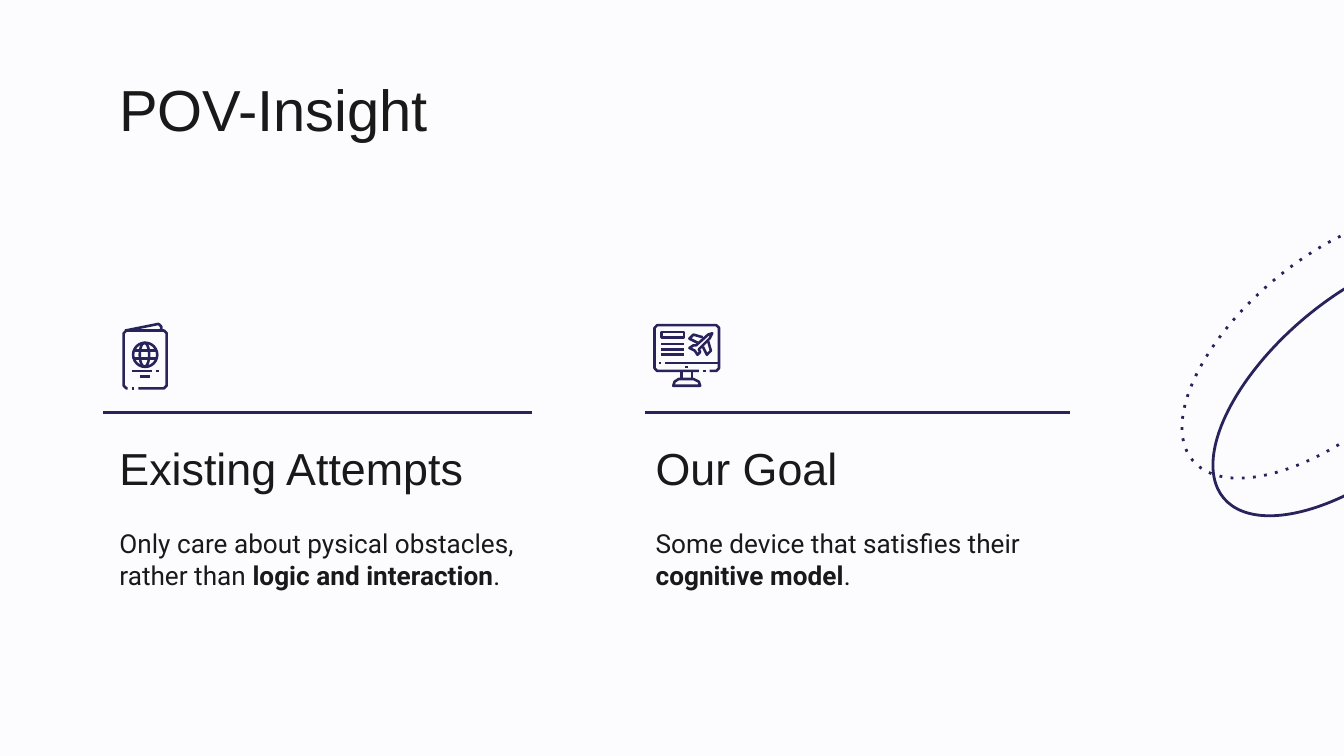
from dataclasses import dataclass

from lxml import etree
from pptx import Presentation
from pptx.dml.color import RGBColor
from pptx.enum import dml, shapes, text
from pptx.oxml import ns
from pptx.util import Inches, Pt


@dataclass(frozen=True)
class Theme:
    background: str = "FCFCFF"
    ink: str = "191919"
    accent: str = "29235C"
    heading_font: str = "Arial"
    body_font: str = "Roboto"
    title_size: float = 31
    heading_size: float = 24
    body_size: float = 14
    rule_width: float = 1.5
    icon_width: float = 1.4


class SlideBuilder:
    def __init__(self, slide, theme):
        self.slide = slide
        self.theme = theme
        fill = slide.background.fill
        fill.solid()
        fill.fore_color.rgb = RGBColor.from_string(theme.background)

    def _outline(self, shape, width):
        shape.shadow.inherit = False
        shape.fill.background()
        shape.line.color.rgb = RGBColor.from_string(self.theme.accent)
        shape.line.width = Pt(width)

    def text(self, box, runs, size, font):
        """Each run is a (wording, bold) pair."""
        frame = self.slide.shapes.add_textbox(*map(Inches, box)).text_frame
        frame.word_wrap = True
        frame.vertical_anchor = text.MSO_ANCHOR.MIDDLE
        frame.margin_left = frame.margin_right = Inches(0.1)
        frame.margin_top = frame.margin_bottom = Inches(0.1)
        for wording, bold in runs:
            run = frame.paragraphs[0].add_run()
            run.text = wording
            run.font.name = font
            run.font.size = Pt(size)
            run.font.bold = bold
            run.font.color.rgb = RGBColor.from_string(self.theme.ink)

    def line(self, x1, y1, x2, y2, width):
        rule = self.slide.shapes.add_connector(
            shapes.MSO_CONNECTOR.STRAIGHT, *map(Inches, (x1, y1, x2, y2)))
        rule.line.color.rgb = RGBColor.from_string(self.theme.accent)
        rule.line.width = Pt(width)
        etree.SubElement(rule._element.spPr, ns.qn("a:effectLst"))

    def ellipse(self, box, width, rotation=0, dotted=False):
        oval = self.slide.shapes.add_shape(
            shapes.MSO_SHAPE.OVAL, *map(Inches, box))
        self._outline(oval, width)
        oval.rotation = rotation
        if dotted:
            oval.line.dash_style = dml.MSO_LINE.ROUND_DOT
            oval._element.xpath(".//a:prstDash")[0].set("val", "dot")

    def outline(self, points, closed=False):
        start, *others = [(Inches(x), Inches(y)) for x, y in points]
        builder = self.slide.shapes.build_freeform(*start)
        builder.add_line_segments(others, close=closed)
        self._outline(builder.convert_to_shape(), self.theme.icon_width)

    def strokes(self, segments):
        for x1, x2, y in segments:
            self.line(x1, y, x2, y, self.theme.icon_width)

    def dots(self, centres):
        self.strokes((x - 0.01, x + 0.01, y) for x, y in centres)


def draw_passport(page):
    # Cover with a gap in its lower edge, and the page behind it
    page.outline([(0.95, 2.89), (0.94, 2.89), (0.92, 2.87), (0.92, 2.48),
                  (0.94, 2.46), (1.22, 2.46), (1.24, 2.48), (1.24, 2.87),
                  (1.22, 2.89), (1.03, 2.89)])
    page.outline([(0.93, 2.46), (1.18, 2.41), (1.2, 2.43), (1.2, 2.46)])
    # Globe
    page.ellipse((0.99, 2.55, 0.18, 0.18), page.theme.icon_width)
    page.ellipse((1.04, 2.55, 0.07, 0.18), page.theme.icon_width)
    page.strokes([(1, 1.16, 2.61), (1, 1.16, 2.67)])
    # Printed lines
    page.strokes([(0.98, 1.13, 2.76), (1.04, 1.12, 2.8)])
    page.dots([(1.17, 2.76), (0.99, 2.89)])


def draw_monitor(page):
    # Screen with a gap in its lower edge
    page.outline([(5.2, 2.76), (4.89, 2.76), (4.87, 2.74), (4.87, 2.44),
                  (4.89, 2.42), (5.33, 2.42), (5.35, 2.44), (5.35, 2.74),
                  (5.33, 2.76), (5.28, 2.76)])
    page.strokes([(4.95, 5.35, 2.7)])
    page.dots([(5.24, 2.76), (5.11, 2.73), (4.91, 2.7)])
    # Stand
    page.outline([(5.07, 2.76), (5.07, 2.82), (5.15, 2.82), (5.15, 2.76)])
    page.outline([(5.01, 2.87), (5.02, 2.84), (5.05, 2.82), (5.16, 2.82),
                  (5.2, 2.84), (5.21, 2.87)], closed=True)
    # Banner and text lines
    page.outline([(4.92, 2.47), (5.09, 2.47), (5.09, 2.51), (4.92, 2.51)],
                 closed=True)
    page.strokes((4.92, 5.09, 2.56 + 0.04 * row) for row in range(3))
    # Aeroplane: fuselage with tail, then the two wings
    page.outline([(5.3, 2.48), (5.27, 2.49), (5.18, 2.57), (5.16, 2.57),
                  (5.13, 2.59), (5.17, 2.61), (5.19, 2.64), (5.21, 2.62),
                  (5.2, 2.6), (5.28, 2.52)], closed=True)
    page.outline([(5.23, 2.51), (5.16, 2.49), (5.13, 2.52), (5.19, 2.55)])
    page.outline([(5.27, 2.54), (5.29, 2.61), (5.26, 2.64), (5.23, 2.58)])


def main():
    deck = Presentation()
    deck.slide_width = Inches(10)
    deck.slide_height = deck.slide_width * 9 // 16
    theme = Theme()
    page = SlideBuilder(deck.slides.add_slide(deck.slide_layouts[6]), theme)

    # Decorative orbits
    for left, top, dotted in ((9.48, 1.53, False), (9.25, 1.25, True)):
        page.ellipse((left, top, 1.28, 2.65), theme.rule_width, 230, dotted)

    # Title
    page.text((0.79, 0.49, 8.43, 0.63), [("POV-Insight", False)],
              theme.title_size, theme.heading_font)

    # Two columns: text left, rule ends, heading, body, icon
    columns = (
        (0.79, (0.77, 3.96), "Existing Attempts",
         [("Only care about pysical obstacles, rather than ", False),
          ("logic and interaction", True), (".", False)], draw_passport),
        (4.78, (4.8, 7.96), "Our Goal",
         [("Some device that satisfies their ", False),
          ("cognitive model", True), (".", False)], draw_monitor),
    )
    for left, (start, end), heading, body, draw_icon in columns:
        page.text((left, 3.27, 3.18, 0.42), [(heading, False)],
                  theme.heading_size, theme.heading_font)
        page.text((left, 3.77, 3.18, 0.78), body,
                  theme.body_size, theme.body_font)
        page.line(start, 3.07, end, 3.07, theme.rule_width)
        draw_icon(page)

    deck.save("out.pptx")


if __name__ == "__main__":
    main()
